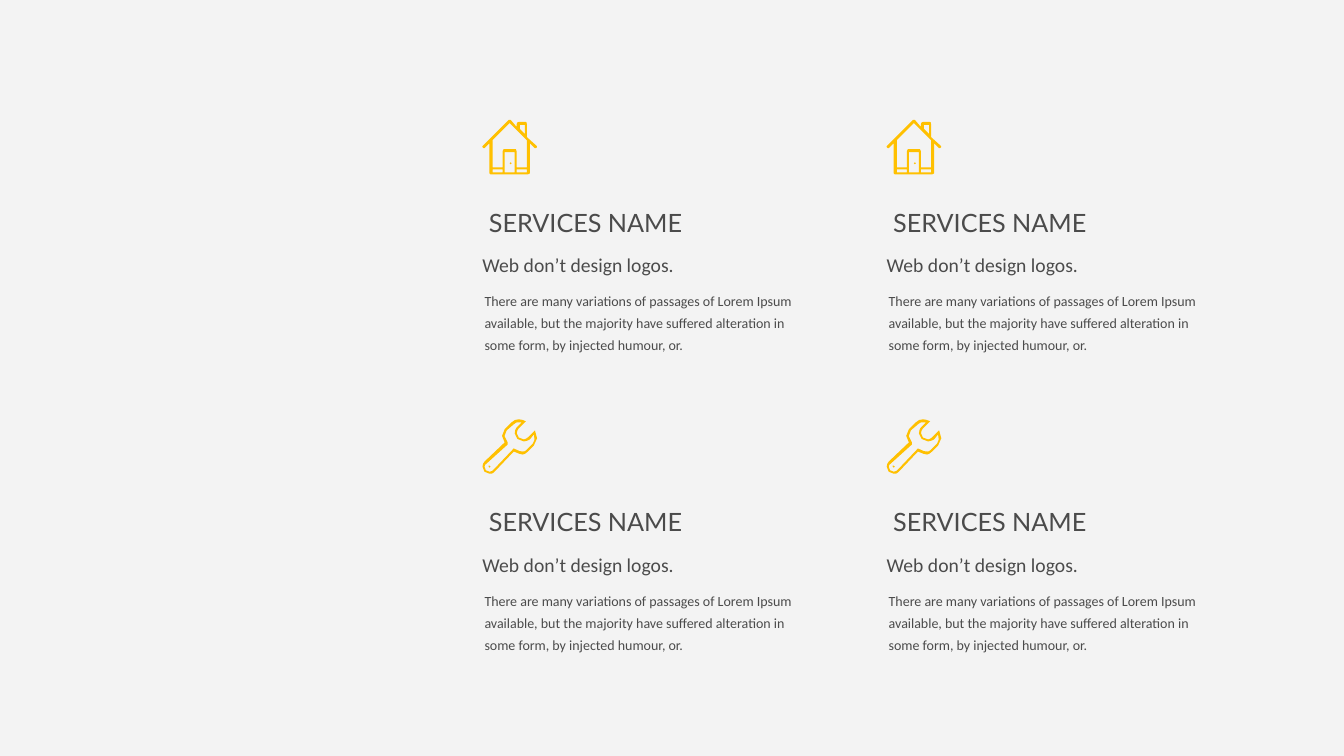
"""Build a slide with a two by two grid of services, each with an icon and text."""

from dataclasses import dataclass
from itertools import product

from pptx import Presentation
from pptx.dml.color import RGBColor
from pptx.enum.text import MSO_AUTO_SIZE, PP_ALIGN
from pptx.slide import Slide
from pptx.util import Pt

EMU_PER_PX = 3048
PAGE_WIDTH, PAGE_HEIGHT = 4000, 2250
GRID_LEFT, GRID_TOP = 1436, 357
COLUMN_PITCH, ROW_PITCH = 1203, 891
ICON_UNIT = 3
CURVE_STEPS = 2

BACKGROUND = RGBColor(0xF3, 0xF3, 0xF3)
ACCENT = RGBColor(0xFF, 0xC0, 0x00)
INK = RGBColor(0x4B, 0x4B, 0x4B)

Point = tuple[float, float]
Icon = tuple[str, ...]


@dataclass(frozen=True)
class TextStyle:
    """Place a text within a service and describe its look."""

    text: str
    left: int
    top: int
    width: int
    height: int
    font: str
    size: int
    line_spacing: float | None = None
    inset: int = 15
    wrap: bool = True
    align: PP_ALIGN | None = None


HOUSE: Icon = (
    "28 44, 29 43, 28 42, 27 43",
    "44 47, 34 47, 34 31, 33 29, 21 29, 20 31, 20 47, 10 47, 10 20, 27 3, 44 20",
    "44 52, 34 52, 34 49, 44 49",
    "32 52, 22 52, 22 32, 32 32",
    "20 52, 10 52, 10 49, 20 49",
    "37 5, 42 5, 42 14, 37 9",
    "54 26, 44 17, 44 4, 44 3 44 2 43 2, 36 2, 35 2 34 3 34 4, 34 7, 28 0, 26 0, "
    "0 26, 0 27, 1 28, 2 28, 7 23, 7 53, 8 54, 45 54, 47 53, 47 23, 52 28, 53 28, 54 27",
)
WRENCH: Icon = (
    "6 46, 6 47, 7 48, 8 47, 7 46",
    "52 11, 45 18, 44 19 42 20 41 20, 37 20 34 17 34 14, 34 12 35 10 36 9, 34 8, "
    "33 9 32 11 32 14, 32 18 36 22 41 22, 43 22 45 21 47 20, 51 15, "
    "52 19 52 22 50 24, 43 31, 42 32 41 32 40 32, 40 32 35 32 31 29, "
    "30 30, 11 50, 10 51 9 52 7 52, 4 52 2 50 2 47, 2 46 3 44 4 44, "
    "25 25, 25 23, 21 18 21 15 24 11, 31 5, 32 3 35 3 36 3, "
    "39 3, 34 8, 36 9, 43 2, 41 1 38 0 36 0, 33 0 31 1 29 3, 22 10, "
    "18 14 19 19 22 23, 2 42, 1 43 0 45 0 47, 0 51 3 54 7 54, 9 54 11 54 12 52, "
    "31 32, 35 34 39 35 40 35, 41 35 43 34 45 32, 51 26, 55 22 55 16 52 11",
)
ROW_ICONS = (HOUSE, WRENCH)

SERVICE_TEXTS = (
    TextStyle("SERVICES NAME", 7, 259, 588, 90, "Lato", 18,
              inset=0, wrap=False, align=PP_ALIGN.RIGHT),
    TextStyle("Web don’t design logos.", 0, 390, 987, 96, "Calibri", 14, 0.9),
    TextStyle(
        "There are many variations of passages of Lorem Ipsum available, but the "
        "majority have suffered alteration in some form, by injected humour, or.",
        6, 485, 984, 228, "Calibri", 10, 1.3,
    ),
)


def px(length: float) -> int:
    """Turn px into EMU."""
    return round(length * EMU_PER_PX)


def curve_points(corners: list[Point]) -> list[Point]:
    """Sample a cubic curve, leaving out its start."""
    points = []
    for step in range(1, CURVE_STEPS + 1):
        t = step / CURVE_STEPS
        weights = ((1 - t) ** 3, 3 * t * (1 - t) ** 2, 3 * t**2 * (1 - t), t**3)
        x, y = (sum(w * c[axis] for w, c in zip(weights, corners)) for axis in (0, 1))
        points.append((x, y))
    return points


def contour_points(contour: str) -> list[Point]:
    """Turn a contour, where two numbers are a line and six a curve, into corners."""
    points: list[Point] = []
    for segment in contour.split(","):
        numbers = [float(number) * ICON_UNIT for number in segment.split()]
        corners = list(zip(numbers[::2], numbers[1::2]))
        points += corners if len(corners) == 1 else curve_points([points[-1], *corners])
    return points


def draw_icon(page: Slide, icon: Icon, left: int, top: int) -> None:
    """Draw an icon as one filled outline."""
    polygons = [[(px(x), px(y)) for x, y in contour_points(contour)] for contour in icon]
    builder = page.shapes.build_freeform(*polygons[0][0])
    for index, (start, *rest) in enumerate(polygons):
        if index:
            builder.move_to(*start)
        builder.add_line_segments(rest, close=True)
    shape = builder.convert_to_shape(px(left), px(top))
    shape.shadow.inherit = False
    shape.fill.solid()
    shape.fill.fore_color.rgb = ACCENT
    shape.line.fill.background()


def draw_text(page: Slide, style: TextStyle, left: int, top: int) -> None:
    """Draw one text of a service."""
    box = page.shapes.add_textbox(
        px(left + style.left), px(top + style.top), px(style.width), px(style.height)
    )
    frame = box.text_frame
    frame.text = style.text
    frame.word_wrap = style.wrap
    frame.auto_size = MSO_AUTO_SIZE.SHAPE_TO_FIT_TEXT
    frame.margin_left = frame.margin_right = 0
    frame.margin_top = frame.margin_bottom = px(style.inset)
    paragraph = frame.paragraphs[0]
    paragraph.alignment = style.align
    paragraph.line_spacing = style.line_spacing
    font = paragraph.runs[0].font
    font.name = style.font
    font.size = Pt(style.size)
    font.color.rgb = INK


def main() -> None:
    """Build and save the deck."""
    deck = Presentation()
    deck.slide_width, deck.slide_height = px(PAGE_WIDTH), px(PAGE_HEIGHT)
    page = deck.slides.add_slide(deck.slide_layouts.get_by_name("Blank"))
    page.background.fill.solid()
    page.background.fill.fore_color.rgb = BACKGROUND
    for (row, icon), column in product(enumerate(ROW_ICONS), range(2)):
        left = GRID_LEFT + column * COLUMN_PITCH
        top = GRID_TOP + row * ROW_PITCH
        draw_icon(page, icon, left, top)
        for style in SERVICE_TEXTS:
            draw_text(page, style, left, top)
    deck.save("out.pptx")


if __name__ == "__main__":
    main()
